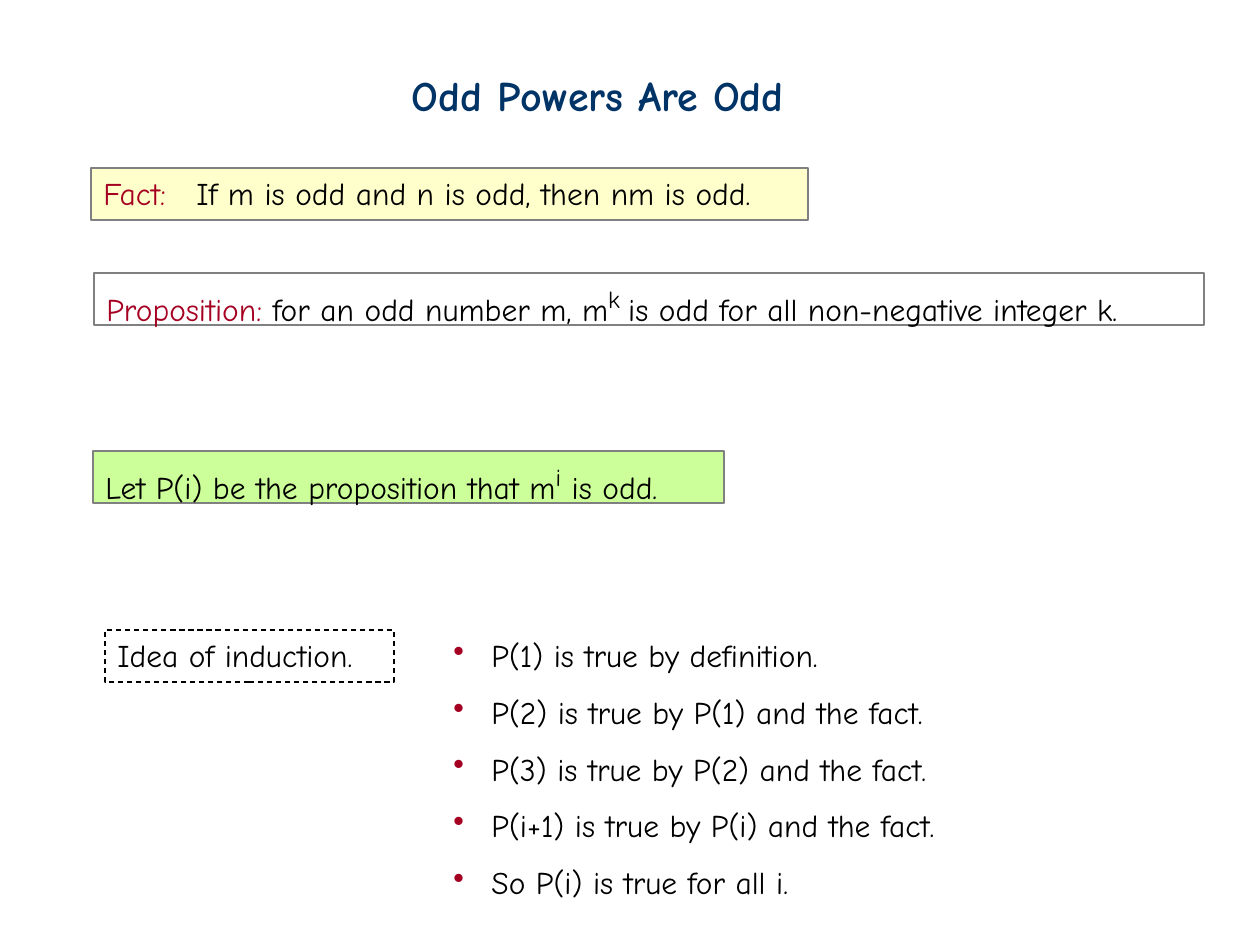
from lxml import etree
from pptx import Presentation, util as u
from pptx.dml.color import RGBColor
from pptx.enum import dml, shapes, text
from pptx.oxml import ns

SCALE = 914400 / 126  # EMU in one px
FACE = "Comic Neue"
NAVY, RED, BLACK, GRAY = "003366", "A50021", "000000", "808080"


def px(num):
    return u.Emu(round(num * SCALE))


def color(code):
    return RGBColor.from_string(code)


def style(font, tint=BLACK, size=18, bold=False):
    for key, val in {"name": FACE, "size": u.Pt(size), "bold": bold}.items():
        setattr(font, key, val)
    font.color.rgb = color(tint)


def setup(frame):
    vals = {
        "word_wrap": True,
        "auto_size": text.MSO_AUTO_SIZE.NONE,
        "vertical_anchor": text.MSO_ANCHOR.TOP,
    }
    for key, val in vals.items():
        setattr(frame, key, val)


def add_run(para, words, tint=BLACK, power=False):
    run = para.add_run()
    run.text = words
    style(run.font, tint, 24 if power else 18)
    if power:
        run.font._element.set("baseline", "30000")


def add_title(slide, box, words):
    title = slide.shapes.title
    for key, val in zip(("left", "top", "width", "height"), box):
        setattr(title, key, px(val))
    frame = title.text_frame
    frame.text = words
    setup(frame)
    para = frame.paragraphs[0]
    para.alignment = text.PP_ALIGN.LEFT
    style(para.runs[0].font, NAVY, 24, True)


def add_panel(slide, box, runs, fill=None, edge=GRAY, dash=False, tab=None):
    panel = slide.shapes.add_shape(shapes.MSO_SHAPE.RECTANGLE, *map(px, box))
    panel.shadow.inherit = False
    if fill:
        panel.fill.solid()
        panel.fill.fore_color.rgb = color(fill)
    else:
        panel.fill.background()
    panel.line.color.rgb = color(edge)
    panel.line.width = u.Pt(0.75)
    if dash:
        panel.line.dash_style = dml.MSO_LINE.DASH
    setup(panel.text_frame)
    para = panel.text_frame.paragraphs[0]
    para.alignment = text.PP_ALIGN.LEFT
    if tab:
        tabs = etree.SubElement(para._p.get_or_add_pPr(), ns.qn("a:tabLst"))
        etree.SubElement(tabs, ns.qn("a:tab"), pos=str(px(tab)), algn="l")
    for run in runs:
        add_run(para, *run)


def add_steps(slide, box, steps, indent=38):
    frame = slide.shapes.add_textbox(*map(px, box)).text_frame
    setup(frame)
    for num, step in enumerate(steps):
        para = frame.add_paragraph() if num else frame.paragraphs[0]
        if num:
            para.line_spacing = 1.5
        # Red bullet with a hanging indent
        props = para._p.get_or_add_pPr()
        props.set("marL", str(px(indent)))
        props.set("indent", str(-px(indent)))
        tint = etree.SubElement(props, ns.qn("a:buClr"))
        etree.SubElement(tint, ns.qn("a:srgbClr"), val=RED)
        etree.SubElement(props, ns.qn("a:buChar"), char="•")
        add_run(para, step)


def main():
    deck = Presentation()
    deck.slide_width, deck.slide_height = px(1260), px(945)
    slide = deck.slides.add_slide(deck.slide_layouts[5])

    add_title(slide, (399, 63, 456, 63), "Odd Powers Are Odd")

    # Statements
    add_panel(slide, (91, 168, 717, 52), [
        ("Fact:", RED),
        ("\tIf m is odd and n is odd, then nm is odd.",),
    ], fill="FFFFCC", tab=93)
    add_panel(slide, (94, 273, 1110, 52), [
        ("Proposition:", RED),
        (" for an odd number m, m",),
        ("k ", BLACK, True),
        ("is odd for all non-negative integer k.",),
    ])
    add_panel(slide, (93, 451, 631, 52), [
        ("Let P(i) be the proposition that m",),
        ("i", BLACK, True),
        (" is odd.",),
    ], fill="CCFF99")

    # Induction
    add_steps(slide, (441, 630, 534, 278), [
        "P(1) is true by definition.",
        "P(2) is true by P(1) and the fact.",
        "P(3) is true by P(2) and the fact.",
        "P(i+1) is true by P(i) and the fact.",
        "So P(i) is true for all i.",
    ])
    add_panel(slide, (105, 630, 289, 52), [("Idea of induction.",)],
              edge=BLACK, dash=True)

    deck.save("out.pptx")


if __name__ == "__main__":
    main()
